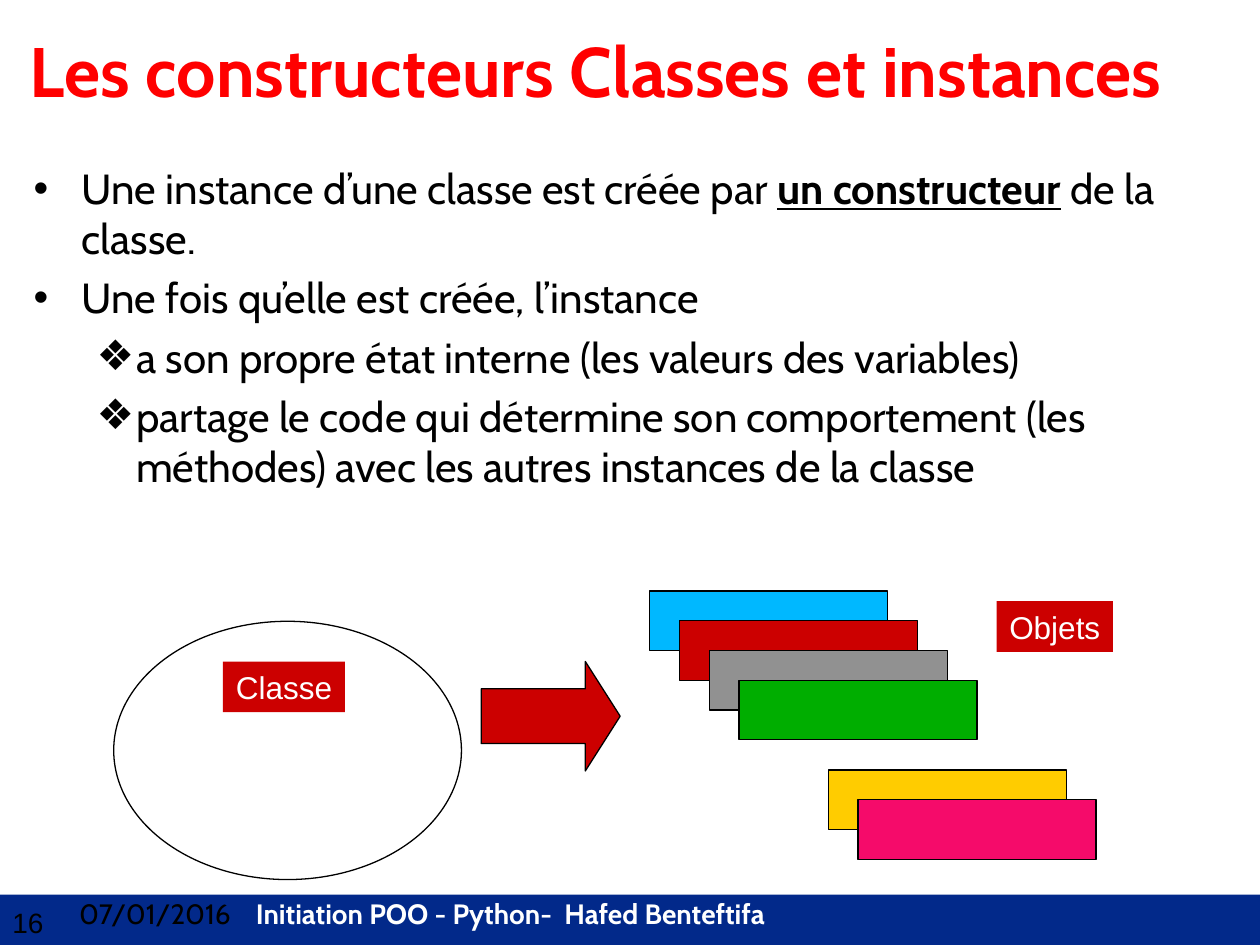
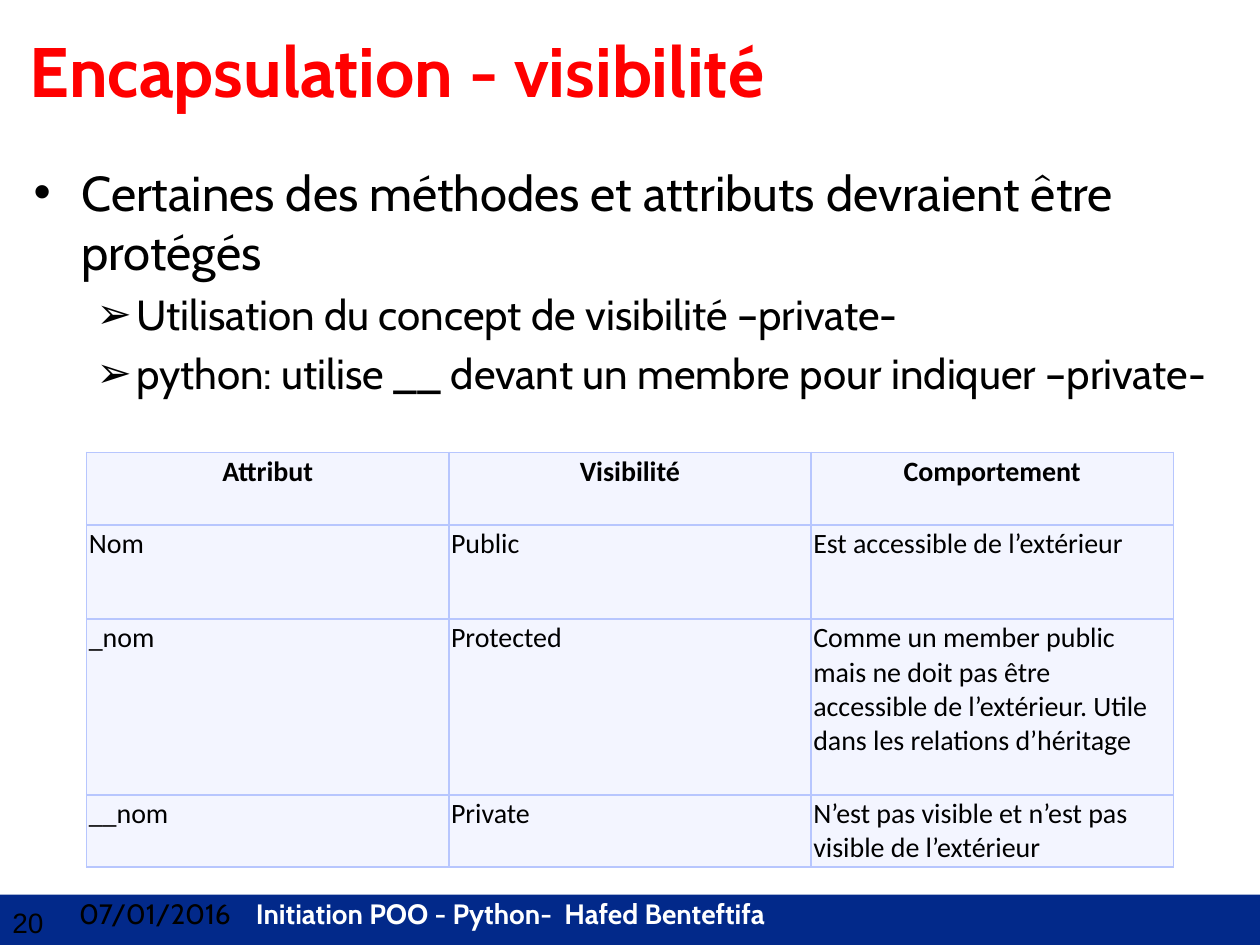
from lxml.etree import SubElement
from pptx import Presentation
from pptx.dml.color import RGBColor
from pptx.enum.shapes import MSO_SHAPE as SHAPE
from pptx.enum.text import MSO_ANCHOR as ANCHOR, PP_ALIGN as ALIGN
from pptx.oxml.ns import qn
from pptx.util import Pt

COLORS = {
    "title": "FF0000", "text": "000000", "white": "FFFFFF", "band": "02298A",
    "red": "CC0000", "blue": "00B8FF", "grey": "919191", "green": "00AE00",
    "yellow": "FFCC00", "pink": "F50B6A", "cell": "F3F5FF", "border": "B7C6FE",
}


def add_text(paragraph, text, size=24, font="Cabin", color="text", bold=False, underline=False):
    run = paragraph.add_run()
    run.text = text
    run.font.size = Pt(size)
    run.font.name = font
    run.font.color.rgb = RGBColor.from_string(COLORS[color])
    run.font.bold = bold
    run.font.underline = underline


def add_box(slide, kind, left, top, width, height, fill=None, line=None):
    """Add a preset shape, or a wrapping text box when kind is None."""
    place = Pt(left), Pt(top), Pt(width), Pt(height)
    if kind is None:
        box = slide.shapes.add_textbox(*place)
        box.text_frame.word_wrap = True
        return box
    box = slide.shapes.add_shape(kind, *place)
    box.shadow.inherit = False
    if fill:
        box.fill.solid()
        box.fill.fore_color.rgb = RGBColor.from_string(COLORS[fill])
    else:
        box.fill.background()
    if line:
        box.line.color.rgb = RGBColor.from_string(COLORS[line])
        box.line.width = Pt(0.75)
    else:
        box.line.fill.background()
    return box


deck = Presentation()
deck.slide_width, deck.slide_height = Pt(720), Pt(540)

# Each point: level, size, runs (text, emphasised)
pages = [
    {"number": "16", "title": "Les constructeurs Classes et instances",
     "bullets": "•❖", "body_height": 393,
     "points": [
         (0, 24, [("Une instance d’une classe est créée par ", False),
                  ("un constructeur", True), (" de la classe.", False)]),
         (0, 24, [("Une fois qu’elle est créée, l’instance", False)]),
         (1, 24, [("a son propre état interne (les valeurs des variables)", False)]),
         (1, 24, [("partage le code qui détermine son comportement (les méthodes) "
                   "avec les autres instances de la classe", False)]),
     ]},
    {"number": "20", "title": "Encapsulation - visibilité",
     "bullets": "•➢", "body_height": 169,
     "points": [
         (0, 28, [("Certaines des méthodes et attributs devraient être protégés", False)]),
         (1, 24, [("Utilisation du concept de visibilité –private-", False)]),
         (1, 24, [("python: utilise __ devant un membre pour indiquer –private-", False)]),
     ]},
]
INDENTS = [(27.4, -27.4), (58.5, -22.5)]

# Footer, title and bullet points of both slides
slides = []
for page in pages:
    slide = deck.slides.add_slide(deck.slide_layouts[6])
    slides.append(slide)

    add_box(slide, SHAPE.RECTANGLE, 0, 511.2, 720, 28.8, fill="band")
    number = add_box(slide, None, 0, 514, 42, 26)
    add_text(number.text_frame.paragraphs[0], page["number"], size=16, font="Arial")

    footer = add_box(slide, None, 38.2, 509, 681.8, 31).text_frame.paragraphs[0]
    tabs = SubElement(footer._p.get_or_add_pPr(), qn("a:tabLst"))
    SubElement(tabs, qn("a:tab"), pos=str(Pt(101)), algn="l")
    add_text(footer, "07/01/2016\t", size=16)
    add_text(footer, "Initiation POO - Python-  Hafed Benteftifa", size=16, color="white", bold=True)

    title = add_box(slide, None, 10, 12.2, 697, 67)
    add_text(title.text_frame.paragraphs[0], page["title"], size=40, color="title", bold=True)

    body = add_box(slide, None, 12.2, 89.3, 696.3, page["body_height"]).text_frame
    for index, (level, size, runs) in enumerate(page["points"]):
        point = body.add_paragraph() if index else body.paragraphs[0]
        point.level = level
        margin, indent = INDENTS[level]
        props = point._p.get_or_add_pPr()
        props.set("marL", str(Pt(margin)))
        props.set("indent", str(Pt(indent)))
        SubElement(props, qn("a:buFont"), typeface="Arial")
        SubElement(props, qn("a:buChar"), char=page["bullets"][level])
        point.space_before = Pt(5 if index else 0)
        for text, emphasised in runs:
            add_text(point, text, size=size, bold=emphasised, underline=emphasised)

constructors, visibility = slides

# Class, arrow and stacks of objects
add_box(constructors, SHAPE.OVAL, 65, 355, 198.7, 147.6, line="text")
stacks = [
    (371.3, 337.7, ["blue", "red", "grey", "green"]),
    (473.3, 440, ["yellow", "pink"]),
]
for left, top, fills in stacks:
    for step, fill in enumerate(fills):
        add_box(constructors, SHAPE.RECTANGLE, left + 17 * step, top + 17 * step,
                136, 34, fill=fill, line="text")

arrow = add_box(constructors, SHAPE.RIGHT_ARROW, 275, 378, 79.4, 62.6, fill="red", line="text")
arrow.adjustments[1] = 0.318

for name, left, top, width in [("Classe", 127.4, 378, 69.8), ("Objets", 569.5, 343.5, 66.5)]:
    label = add_box(constructors, SHAPE.RECTANGLE, left, top, width, 29, fill="red").text_frame
    label.word_wrap = False
    label.vertical_anchor = ANCHOR.MIDDLE
    label.paragraphs[0].alignment = ALIGN.CENTER
    add_text(label.paragraphs[0], name, size=18, font="Arial", color="white")

# Table of visibility levels
levels = [
    ("Attribut", "Visibilité", "Comportement"),
    ("Nom", "Public", "Est accessible de l’extérieur"),
    ("_nom", "Protected", "Comme un member public mais ne doit pas être accessible "
     "de l’extérieur. Utile dans les relations d’héritage"),
    ("__nom", "Private", "N’est pas visible et n’est pas visible de l’extérieur"),
]
row_heights = [41.5, 53.7, 100.5, 41.3]
grid = visibility.shapes.add_table(4, 3, Pt(49.5), Pt(258.5), Pt(621), Pt(sum(row_heights))).table
for column in grid.columns:
    column.width = Pt(207)
for row, (height, texts) in enumerate(zip(row_heights, levels)):
    grid.rows[row].height = Pt(height)
    for column, text in enumerate(texts):
        cell = grid.cell(row, column)
        cell.margin_left = cell.margin_right = cell.margin_top = cell.margin_bottom = Pt(1.3)
        props = cell._tc.get_or_add_tcPr()
        for side in ("lnL", "lnR", "lnT", "lnB"):
            border = SubElement(props, qn(f"a:{side}"), w=str(Pt(1)))
            paint = SubElement(border, qn("a:solidFill"))
            SubElement(paint, qn("a:srgbClr"), val=COLORS["border"])
        cell.fill.solid()
        cell.fill.fore_color.rgb = RGBColor.from_string(COLORS["cell"])
        paragraph = cell.text_frame.paragraphs[0]
        paragraph.alignment = ALIGN.LEFT if row else ALIGN.CENTER
        add_text(paragraph, text, size=16, font="Calibri", bold=row == 0)

deck.save("out.pptx")
